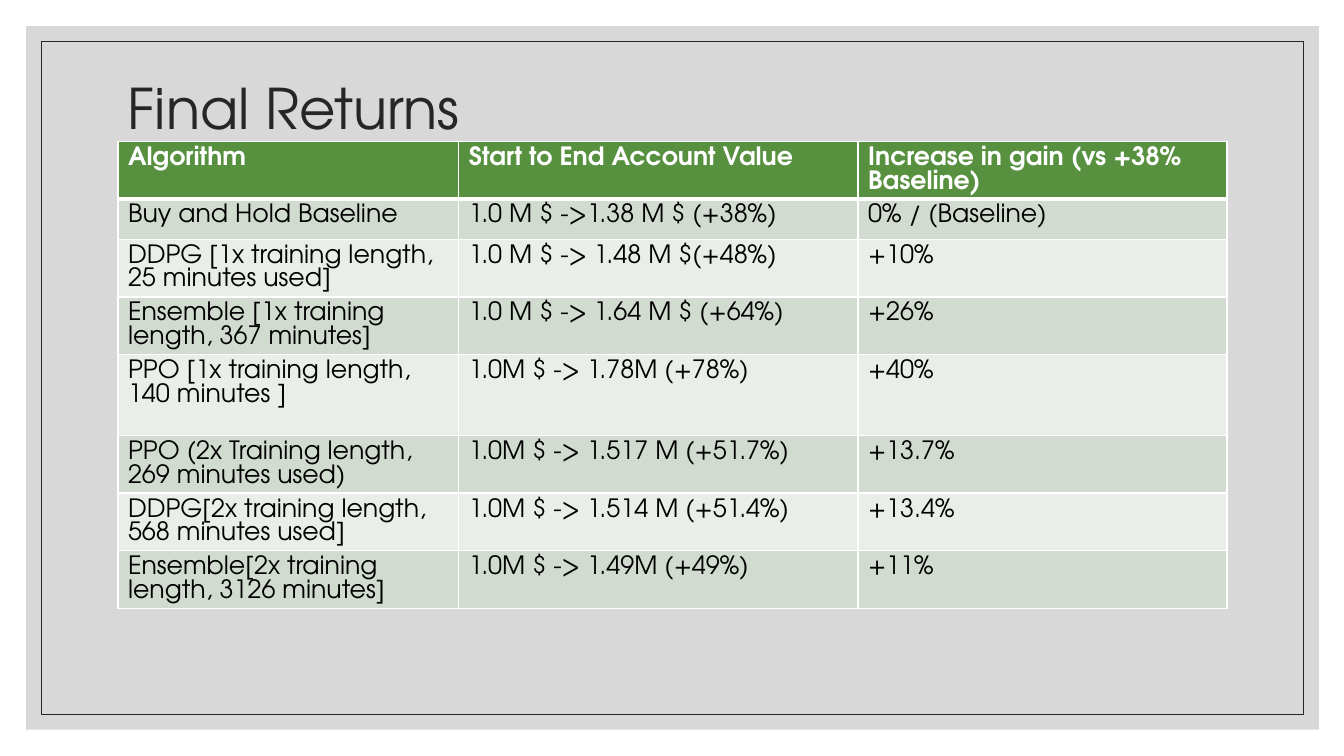
from pptx import Presentation
from pptx.dml.color import RGBColor
from pptx.enum.shapes import MSO_SHAPE
from pptx.enum.text import MSO_ANCHOR
from pptx.oxml import parse_xml
from pptx.oxml.ns import nsdecls, qn
from pptx.util import Inches, Pt
from lxml import etree

RECT = MSO_SHAPE.RECTANGLE
MIDDLE = MSO_ANCHOR.MIDDLE

COLORS = {
    "panel": "BFBFBF",
    "ink": "262626",
    "head": "57903F",
    "odd": "D1DBCF",
    "even": "EAEEE8",
    "white": "FFFFFF",
    "black": "000000",
}
FACE = "TeX Gyre Adventor"
FORMATS = {
    "title": {"name": FACE, "size": Pt(40), "bold": False},
    "head": {"name": FACE, "size": Pt(18), "bold": True},
    "body": {"name": FACE, "size": Pt(18), "bold": False},
}
SPACING = {"title": 0.9, "head": Pt(17), "body": Pt(17)}

WIDTHS = [3.38, 3.96, 3.66]
HEIGHTS = [0.57, 0.4, 0.57, 0.57, 0.8, 0.57, 0.57, 0.57]
RETURNS = [
    ("Algorithm", "Start to End Account Value", "Increase in gain (vs +38% Baseline)"),
    ("Buy and Hold Baseline", "1.0 M $ ->1.38 M $ (+38%)", "0% / (Baseline)"),
    ("DDPG [1x training length, 25 minutes used]", "1.0 M $ -> 1.48 M $(+48%)", "+10%"),
    ("Ensemble [1x training length, 367 minutes]", "1.0 M $ -> 1.64 M $ (+64%)", "+26%"),
    ("PPO [1x training length, 140 minutes ]", "1.0M $ -> 1.78M (+78%)", "+40%"),
    ("PPO (2x Training length, 269 minutes used)", "1.0M $ -> 1.517 M (+51.7%)", "+13.7%"),
    ("DDPG[2x training length, 568 minutes used]", "1.0M $ -> 1.514 M (+51.4%)", "+13.4%"),
    ("Ensemble[2x training length, 3126 minutes]", "1.0M $ -> 1.49M (+49%)", "+11%"),
]


def rgb(name):
    return RGBColor.from_string(COLORS[name])


def write(frame, text, style, color):
    para = frame.paragraphs[0]
    para.line_spacing = SPACING[style]
    run = para.add_run()
    run.text = text
    for key, value in FORMATS[style].items():
        setattr(run.font, key, value)
    run.font.color.rgb = rgb(color)


def add_rect(slide, box):
    rect = slide.shapes.add_shape(RECT, *map(Inches, box))
    rect.shadow.inherit = False
    return rect


def add_panel(slide, box):
    panel = add_rect(slide, box)
    panel.fill.solid()
    panel.fill.fore_color.rgb = rgb("panel")
    panel.line.fill.background()
    tint = panel.fill._xPr.find(qn("a:solidFill"))[0]
    etree.SubElement(tint, qn("a:alpha")).set("val", "60000")


def add_frame(slide, box):
    frame = add_rect(slide, box)
    frame.fill.background()
    frame.line.color.rgb = rgb("ink")
    frame.line.width = Pt(0.5)


def add_title(slide, box, text):
    frame = slide.shapes.add_textbox(*map(Inches, box)).text_frame
    frame.word_wrap = True
    frame.vertical_anchor = MIDDLE
    write(frame, text, "title", "ink")


def add_borders(cell, sides):
    # Border elements come before the fill in a cell's properties
    props = cell._tc.get_or_add_tcPr()
    for spot, (side, width) in enumerate(sides.items()):
        props.insert(spot, parse_xml(
            f'<a:{side} {nsdecls("a")} w="{Pt(width)}"><a:solidFill>'
            f'<a:srgbClr val="{COLORS["white"]}"/></a:solidFill></a:{side}>'))


def add_returns(slide, left, top):
    size = (len(RETURNS), len(WIDTHS))
    box = (left, top, sum(WIDTHS), sum(HEIGHTS))
    table = slide.shapes.add_table(*size, *map(Inches, box)).table
    for col, width in zip(table.columns, WIDTHS):
        col.width = Inches(width)
    for row, height in zip(table.rows, HEIGHTS):
        row.height = Inches(height)
    for r, texts in enumerate(RETURNS):
        fill = "head" if r == 0 else ("even", "odd")[r % 2]
        style, color = ("head", "white") if r == 0 else ("body", "black")
        sides = {"lnL": 1, "lnR": 1, "lnT": 3 if r == 1 else 1, "lnB": 3 if r == 0 else 1}
        for c, text in enumerate(texts):
            cell = table.cell(r, c)
            cell.fill.solid()
            cell.fill.fore_color.rgb = rgb(fill)
            add_borders(cell, sides)
            write(cell.text_frame, text, style, color)


def main():
    deck = Presentation()
    deck.slide_width, deck.slide_height = Inches(13.33), Inches(7.5)
    slide = deck.slides.add_slide(deck.slide_layouts[6])

    # Backdrop
    add_panel(slide, (0.26, 0.26, 12.82, 6.98))
    add_frame(slide, (0.41, 0.41, 12.52, 6.68))

    # Heading and results
    add_title(slide, (1.17, 0.36, 11, 1.5), "Final Returns")
    add_returns(slide, 1.17, 1.4)

    deck.save("out.pptx")


if __name__ == "__main__":
    main()
